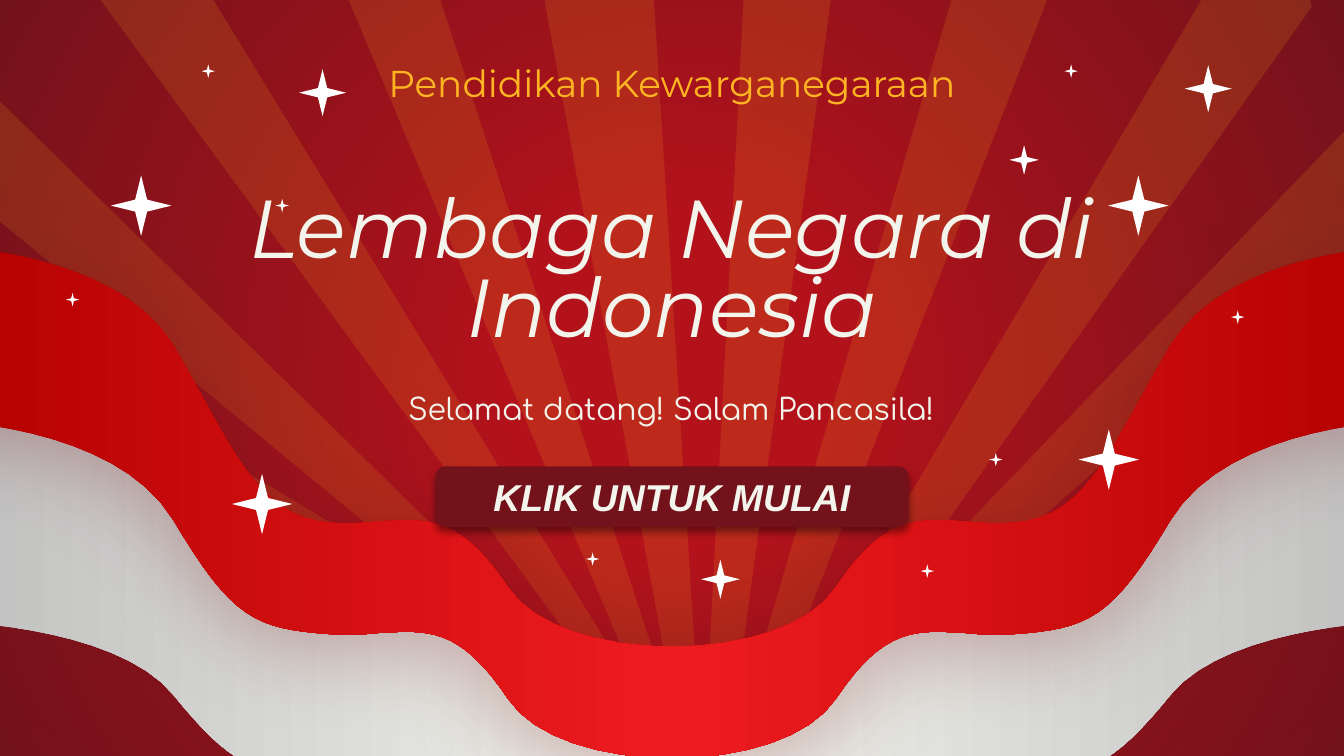
from lxml import etree
from pptx import Presentation
from pptx.dml.color import RGBColor
from pptx.enum.shapes import MSO_SHAPE as Preset
from pptx.enum.text import MSO_ANCHOR as Anchor, PP_ALIGN as Align
from pptx.oxml import parse_xml
from pptx.oxml.ns import nsdecls, qn
from pptx.util import Inches, Pt

WIDTH = 10
HEIGHT = WIDTH * 9 / 16

GOLD, CREAM, WHITE, MAROON, CRIMSON = "FFB522", "F3F5ED", "FFFFFF", "74121B", "B3121B"
SILVER, DARK_RED, RED, BLACK = "BFBFBF", "B30000", "EE1C20", "000000"

RAYS = [
    [(6.07, 5.26), (9.76, 0.05), (9.48, -0.92), (5.87, 5.21)],
    [(5.73, 5.3), (8.69, -2.31), (7.65, -1.95), (5.53, 5.3)],
    [(5.43, 5.53), (6.39, -1.53), (5.63, -1.85), (5.24, 5.58)],
    [(6.19, 5.22), (10.99, 1.01), (10.94, 0), (6.01, 5.13)],
    [(4.05, 4.99), (-0.87, 0.93), (-0.85, -0.08), (4.23, 4.9)],
    [(4.39, 4.95), (-0.45, -1.63), (0.64, -1.55), (4.58, 4.89)],
    [(4.74, 5.09), (1.97, -1.48), (2.63, -1.98), (4.94, 5.09)],
    [(4.99, 5.12), (3.96, -0.5), (4.85, -0.25), (5.19, 5.15)],
    [(5.67, 6.06), (9.57, 2.85), (10.2, 3.44), (5.72, 6.25)],
    [(3.93, 4.99), (-1.81, 2.17), (-2.02, 1.19), (4.07, 4.86)],
]

WAVE_X = [-0.48, -0.48, 0.85, 1.29, 1.73, 1.9, 2.47,
          2.6, 2.72, 2.82, 3.18, 3.42, 3.78, 4.17]
WHITE_TOP = [2.8, 2.8, 2.8, 3.35, 3.89, 4.29, 4.32,
             4.32, 4.32, 4.31, 4.29, 4.27, 4.67, 5.1]
WHITE_BASE = [4.62, 4.62, 4.63, 5.17, 5.71, 5.77, 5.79,
              5.8, 5.79, 5.78, 5.76, 5.74, 6.15, 6.98]
RED_TOP = [1.83, 1.83, 1.84, 2.57, 3.31, 3.86, 3.89,
           3.9, 3.89, 3.88, 3.86, 3.83, 4.37, 4.96]
RED_BASE = [3.13, 3.13, 3.14, 3.87, 4.61, 4.68, 4.72,
            4.73, 4.72, 4.71, 4.69, 4.66, 5.2, 5.79]

STARS = {
    0.1: [(7.97, 0.53), (9.21, 2.36), (1.55, 0.53), (0.54, 2.23),
          (2.1, 1.53), (4.41, 4.16), (6.9, 4.25), (7.41, 3.42)],
    0.22: [(7.62, 1.19)],
    0.29: [(5.36, 4.31)],
    0.35: [(8.99, 0.66), (2.4, 0.69)],
    0.45: [(8.47, 1.53), (1.95, 3.75), (1.05, 1.53), (8.25, 3.42)],
}


def color(value):
    """Turn a hex string into a colour."""
    return RGBColor.from_string(value)


def apply(target, values):
    """Set every attribute named in a dict of values."""
    for name, value in values.items():
        setattr(target, name, value)


def fill_plain(shape, value):
    """Give a shape a solid fill without line or shadow."""
    shape.shadow.inherit = False
    shape.fill.solid()
    shape.fill.fore_color.rgb = color(value)
    shape.line.fill.background()


def fill_gradient(parent, fill, stops, course):
    """Replace a fill with a gradient of given stops and course."""
    fill.gradient()
    marks = "".join(f'<a:gs pos="{place * 1000}"><a:srgbClr val="{value}"/></a:gs>'
                    for place, value in stops)
    gradient = parse_xml(f'<a:gradFill {nsdecls("a")} rotWithShape="1">'
                         f'<a:gsLst>{marks}</a:gsLst>{course}</a:gradFill>')
    parent.replace(parent.find(qn("a:gradFill")), gradient)


def add_shadow(shape, value, alpha, blur, distance):
    """Cast a soft shadow straight down."""
    effects = shape._element.spPr.find(qn("a:effectLst"))
    effects.append(parse_xml(
        f'<a:outerShdw {nsdecls("a")} blurRad="{Pt(blur)}" dist="{Pt(distance)}" '
        f'dir="5400000" algn="bl" rotWithShape="0"><a:srgbClr val="{value}">'
        f'<a:alpha val="{alpha * 1000}"/></a:srgbClr></a:outerShdw>'))


def add_outline(page, box, points):
    """Draw a closed outline relative to a box."""
    corners = [(Inches(box[0] + x), Inches(box[1] + y)) for x, y in points]
    builder = page.shapes.build_freeform(*corners[0])
    builder.add_line_segments(corners[1:], close=True)
    return builder.convert_to_shape()


def wave_edge(heights, width, steps=16):
    """Trace a mirrored edge through its cubic curves."""
    half = list(zip(WAVE_X, heights))
    knots = half + [(width - x, y) for x, y in reversed(half)]
    edge = [knots[0]]
    for first in range(0, len(knots) - 1, 3):
        curve = knots[first:first + 4]
        for step in range(1, steps + 1):
            t = step / steps
            weights = ((1 - t) ** 3, 3 * t * (1 - t) ** 2, 3 * t * t * (1 - t), t ** 3)
            edge.append(tuple(sum(w * knot[axis] for w, knot in zip(weights, curve))
                              for axis in (0, 1)))
    return edge


def add_backdrop(page):
    """Paint the glowing red background."""
    fill = page.background.fill
    fill.solid()
    parent = page._element.find(".//" + qn("p:bgPr"))
    centre = ('<a:path path="circle"><a:fillToRect l="50000" t="50000" '
              'r="50000" b="50000"/></a:path>')
    fill_gradient(parent, fill, [(0, CRIMSON), (20, CRIMSON), (100, MAROON)], centre)


def add_rays(page, box):
    """Spread the translucent sun rays."""
    for points in RAYS:
        ray = add_outline(page, box, points)
        fill_plain(ray, GOLD)
        tint = ray._element.spPr.find(qn("a:solidFill"))[0]
        etree.SubElement(tint, qn("a:alpha")).set("val", "14000")


def add_flag(page, box):
    """Drape the white and red bands of the flag."""
    bands = [(WHITE_TOP, WHITE_BASE, SILVER, CREAM), (RED_TOP, RED_BASE, DARK_RED, RED)]
    for top, base, outer, inner in bands:
        points = wave_edge(top, box[2]) + wave_edge(base, box[2])[::-1]
        band = add_outline(page, box, points)
        fill_plain(band, outer)
        fill_gradient(band._element.spPr, band.fill,
                      [(0, outer), (50, inner), (100, outer)],
                      '<a:lin ang="10800000" scaled="0"/>')
        add_shadow(band, MAROON, 29, 47.2, 9)


def add_stars(page, box):
    """Scatter the four-pointed sparkles by size."""
    for size, centres in STARS.items():
        for x, y in centres:
            star = page.shapes.add_shape(
                Preset.STAR_4_POINT, Inches(box[0] + x - size / 2),
                Inches(box[1] + y - size / 2), Inches(size), Inches(size))
            star.adjustments[0] = 0.14
            fill_plain(star, WHITE)


def write(shape, text, value, anchor, font, spacing=None):
    """Write one centred paragraph into a shape."""
    frame = shape.text_frame
    inset = Inches(0.1)
    apply(frame, {"word_wrap": True, "vertical_anchor": anchor, "margin_left": inset,
                  "margin_right": inset, "margin_top": inset, "margin_bottom": inset})
    para = frame.paragraphs[0]
    apply(para, {"alignment": Align.CENTER, "line_spacing": spacing})
    span = para.add_run()
    span.text = text
    apply(span.font, font)
    span.font.color.rgb = color(value)


def add_label(page, box, *content):
    """Place a line of text in a box."""
    write(page.shapes.add_textbox(*map(Inches, box)), *content)


def add_button(page, box):
    """Place the rounded start button."""
    button = page.shapes.add_shape(Preset.ROUNDED_RECTANGLE, *map(Inches, box))
    fill_plain(button, MAROON)
    add_shadow(button, BLACK, 40, 4, 3)
    write(button, "KLIK UNTUK MULAI", CREAM, Anchor.MIDDLE,
          {"name": "Arial", "size": Pt(20), "bold": True, "italic": True})


def main():
    """Build the welcome slide."""
    deck = Presentation()
    apply(deck, {"slide_width": Inches(WIDTH), "slide_height": Inches(HEIGHT)})
    page = deck.slides.add_slide(deck.slide_layouts[6])
    whole = (0, 0, WIDTH, HEIGHT)
    add_backdrop(page)
    add_rays(page, whole)
    add_flag(page, whole)
    add_label(page, (1.73, 1.41, 6.54, 1.32), "Lembaga Negara di Indonesia", CREAM,
              Anchor.BOTTOM, {"name": "Montserrat", "size": Pt(44), "italic": True}, 0.8)
    add_label(page, (2.49, 2.81, 5.01, 0.77), "Selamat datang! Salam Pancasila!", CREAM,
              Anchor.TOP, {"name": "Comfortaa", "size": Pt(16)})
    add_label(page, (1.82, 0.35, 6.36, 0.77), "Pendidikan Kewarganegaraan", GOLD,
              Anchor.TOP, {"name": "Montserrat", "size": Pt(20)})
    add_stars(page, whole)
    add_button(page, (3.24, 3.47, 3.52, 0.45))
    deck.save("out.pptx")


if __name__ == "__main__":
    main()
